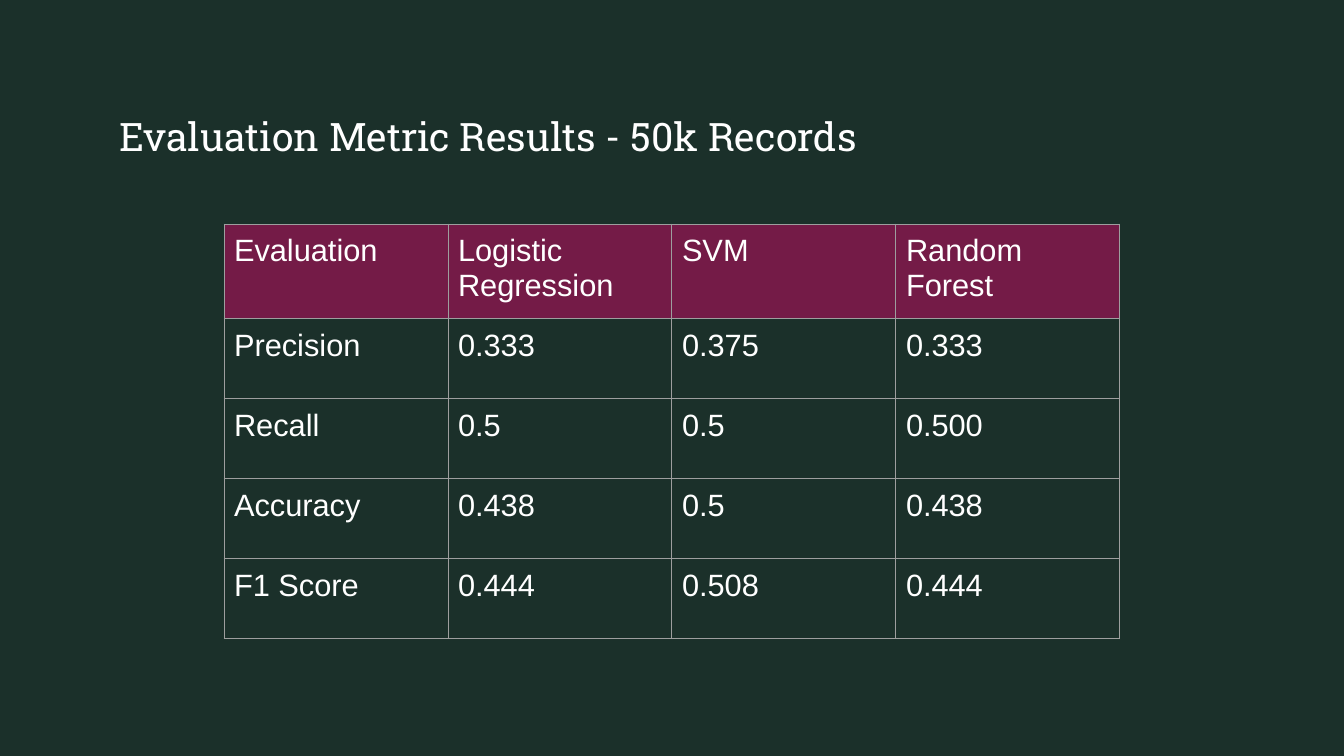
"""Build a slide comparing the evaluation metrics of three classifiers."""
from dataclasses import dataclass

from lxml.etree import SubElement
from pptx import Presentation
from pptx.dml.color import RGBColor
from pptx.enum.text import MSO_ANCHOR
from pptx.oxml.ns import qn
from pptx.slide import Slide
from pptx.table import _Cell as Cell
from pptx.text.text import _Paragraph as Paragraph
from pptx.util import Pt

BACKGROUND = RGBColor(0x1B, 0x30, 0x2A)
HEADER_FILL = RGBColor(0x74, 0x1B, 0x47)
GRID = RGBColor(0x9E, 0x9E, 0x9E)
WHITE = RGBColor(0xFF, 0xFF, 0xFF)

COLUMN_WIDTH = 160
ROW_HEIGHT = 57.15
CELL_MARGIN = 7.2
GRID_WIDTH = 0.75


@dataclass(frozen=True)
class MetricRow:
    label: str
    logistic_regression: str
    svm: str
    random_forest: str

    def texts(self) -> tuple[str, ...]:
        return self.label, self.logistic_regression, self.svm, self.random_forest


HEADER = MetricRow("Evaluation", "Logistic Regression", "SVM", "Random Forest")
METRICS = [
    MetricRow("Precision", "0.333", "0.375", "0.333"),
    MetricRow("Recall", "0.5", "0.5", "0.500"),
    MetricRow("Accuracy", "0.438", "0.5", "0.438"),
    MetricRow("F1 Score", "0.444", "0.508", "0.444"),
]


def write(paragraph: Paragraph, text: str, font_name: str, size: float) -> None:
    paragraph.text = text
    paragraph.font.name = font_name
    paragraph.font.size = Pt(size)
    paragraph.font.color.rgb = WHITE


def add_borders(cell: Cell) -> None:
    properties = cell._tc.get_or_add_tcPr()
    for side in ("a:lnL", "a:lnR", "a:lnT", "a:lnB"):
        border = SubElement(properties, qn(side), w=str(Pt(GRID_WIDTH)))
        color = SubElement(SubElement(border, qn("a:solidFill")), qn("a:srgbClr"))
        color.set("val", str(GRID))


def style_cell(cell: Cell, text: str, is_header: bool) -> None:
    cell.margin_left = cell.margin_right = Pt(CELL_MARGIN)
    cell.margin_top = cell.margin_bottom = Pt(CELL_MARGIN)
    cell.vertical_anchor = MSO_ANCHOR.TOP
    write(cell.text_frame.paragraphs[0], text, "Arial", 22)
    add_borders(cell)
    if is_header:
        cell.fill.solid()
        cell.fill.fore_color.rgb = HEADER_FILL
    else:
        cell.fill.background()


def add_title(slide: Slide, text: str) -> None:
    title = slide.shapes.add_textbox(Pt(85), Pt(80), Pt(790), Pt(52)).text_frame
    title.word_wrap = True
    title.margin_left = title.margin_right = 0
    title.margin_top = title.margin_bottom = 0
    write(title.paragraphs[0], text, "Roboto Slab", 28)


def add_metric_table(slide: Slide, rows: list[MetricRow]) -> None:
    column_count = len(HEADER.texts())
    table = slide.shapes.add_table(
        len(rows), column_count, Pt(160), Pt(160),
        Pt(COLUMN_WIDTH * column_count), Pt(ROW_HEIGHT * len(rows)),
    ).table
    table.horz_banding = False
    for column in table.columns:
        column.width = Pt(COLUMN_WIDTH)
    for row_index, metric in enumerate(rows):
        table.rows[row_index].height = Pt(ROW_HEIGHT)
        for column_index, text in enumerate(metric.texts()):
            style_cell(table.cell(row_index, column_index), text, metric is HEADER)


def main() -> None:
    presentation = Presentation()
    presentation.slide_width = Pt(960)
    presentation.slide_height = Pt(540)
    slide = presentation.slides.add_slide(presentation.slide_layouts[6])
    slide.background.fill.solid()
    slide.background.fill.fore_color.rgb = BACKGROUND
    add_title(slide, "Evaluation Metric Results - 50k Records")
    add_metric_table(slide, [HEADER, *METRICS])
    presentation.save("out.pptx")


if __name__ == "__main__":
    main()
